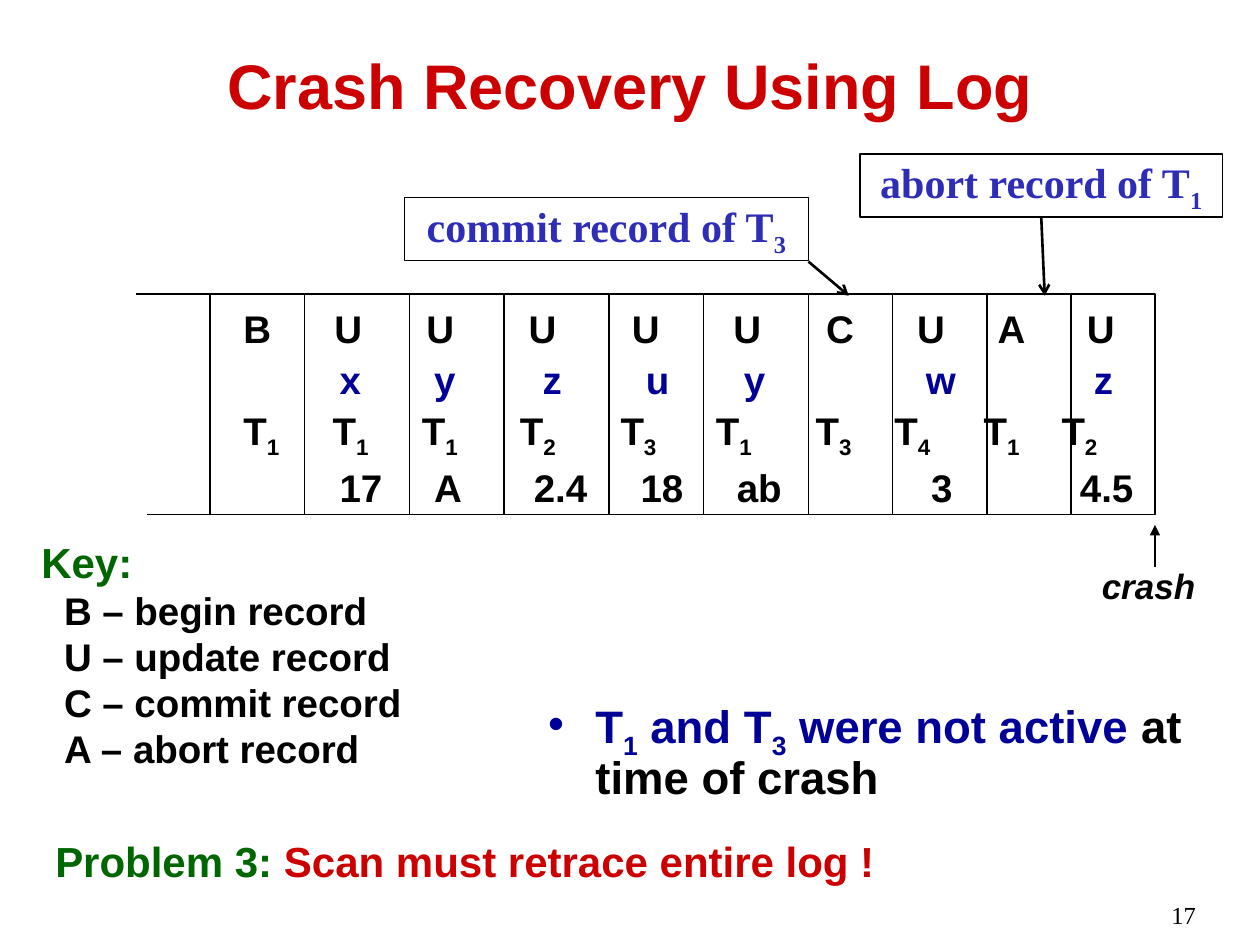
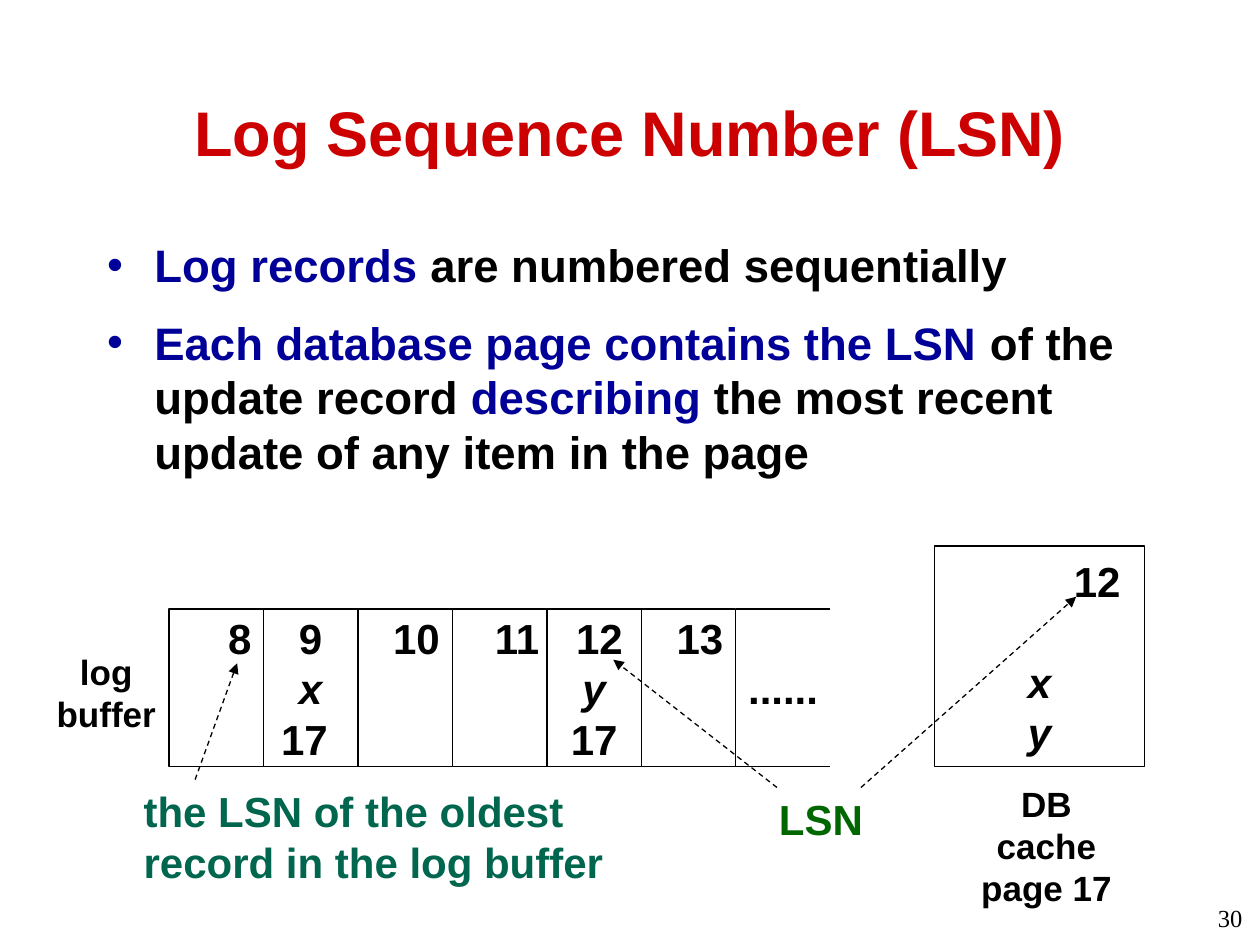
from dataclasses import dataclass, replace
from itertools import accumulate
from typing import NamedTuple

from lxml.etree import SubElement
from pptx import Presentation
from pptx.dml.color import RGBColor
from pptx.enum.dml import MSO_LINE
from pptx.enum.shapes import MSO_CONNECTOR, MSO_SHAPE
from pptx.enum.text import MSO_ANCHOR, MSO_AUTO_SIZE, PP_ALIGN
from pptx.oxml.ns import qn
from pptx.util import Pt

BLACK, WHITE = "000000", "FFFFFF"
RED, NAVY, GREEN, TEAL, VIOLET = "CC0000", "000099", "006600", "00664D", "2D2DB7"


@dataclass(frozen=True)
class Style:
    size: float
    color: str = BLACK
    font: str = "Arial"
    bold: bool = True
    italic: bool = False


class Span(NamedTuple):
    """Text in one style; the character after each "_" is a subscript."""
    text: str
    style: Style


class Box(NamedTuple):
    left: float
    top: float
    width: float
    height: float

    def emu(self) -> list:
        return [Pt(v) for v in self]


class Line(NamedTuple):
    x1: float
    y1: float
    x2: float
    y2: float
    weight: float = 0.75
    head: str = ""
    dashed: bool = False


class Entry(NamedTuple):
    """A centred line of a cell, moved sideways and set below a gap."""
    text: str
    shift: float = 0
    italic: bool = False
    gap: float = 0


class LogRow(NamedTuple):
    """Words of one line of the log, and the tab stop of each."""
    color: str
    words: list
    tabs: list


TITLE = Style(36, RED)
BODY = Style(26)
BODY_KEY = Style(26, NAVY)
LABEL = Style(24)
SMALL = Style(20)
LOG = Style(22)
CALLOUT = Style(24, VIOLET, "Times New Roman")
NUMBER = Style(14, BLACK, "Times New Roman", False)


def rgb(color: str) -> RGBColor:
    return RGBColor.from_string(color)


def add_run(p, text: str, style: Style, subscript: bool = False) -> None:
    r = p.add_run()
    r.text = text
    f = r.font
    f.size, f.name, f.bold, f.italic = Pt(style.size), style.font, style.bold, style.italic
    f.color.rgb = rgb(style.color)
    if subscript:
        r._r.get_or_add_rPr().set("baseline", "-25000")


def add_span(p, span: Span) -> None:
    first, *rest = span.text.split("_")
    if first:
        add_run(p, first, span.style)
    for part in rest:
        add_run(p, part[0], span.style, True)
        if part[1:]:
            add_run(p, part[1:], span.style)


def fill_frame(tf, paragraphs: list, align=None, wrap: bool = True) -> None:
    tf.word_wrap = wrap
    tf.auto_size = MSO_AUTO_SIZE.NONE
    for i, spans in enumerate(paragraphs):
        p = tf.add_paragraph() if i else tf.paragraphs[0]
        if align is not None:
            p.alignment = align
        for span in spans:
            add_span(p, span)


def add_text(s, box: Box, *paragraphs: list, align=PP_ALIGN.LEFT, wrap: bool = True):
    tf = s.shapes.add_textbox(*box.emu()).text_frame
    fill_frame(tf, paragraphs, align, wrap)
    return tf


def add_rect(s, box: Box, fill: str = WHITE):
    sp = s.shapes.add_shape(MSO_SHAPE.RECTANGLE, *box.emu())
    sp.shadow.inherit = False
    if fill:
        sp.fill.solid()
        sp.fill.fore_color.rgb = rgb(fill)
    else:
        sp.fill.background()
    sp.line.color.rgb = rgb(BLACK)
    sp.line.width = Pt(0.75)
    return sp


def add_line(s, line: Line):
    cn = s.shapes.add_connector(MSO_CONNECTOR.STRAIGHT, *[Pt(v) for v in line[:4]])
    cn.line.color.rgb = rgb(BLACK)
    cn.line.width = Pt(line.weight)
    if line.dashed:
        cn.line.dash_style = MSO_LINE.DASH
    if line.head:
        SubElement(cn.line._get_or_add_ln(), qn("a:tailEnd"), type=line.head)
    SubElement(cn._element.spPr, qn("a:effectLst"))
    return cn


def add_cell(s, box: Box, entries: list, top: float) -> None:
    tf = add_rect(s, box).text_frame
    tf.margin_left = tf.margin_right = tf.margin_bottom = 0
    tf.margin_top = Pt(top)
    tf.vertical_anchor = MSO_ANCHOR.TOP
    fill_frame(tf, [[Span(e.text, replace(LABEL, italic=e.italic))] for e in entries],
               PP_ALIGN.CENTER)
    for p, e in zip(tf.paragraphs, entries):
        if e.shift:
            side = "marL" if e.shift > 0 else "marR"
            p._p.get_or_add_pPr().set(side, str(Pt(2 * abs(e.shift))))
        if e.gap:
            p.space_before = Pt(e.gap)


def place(sp, box: Box) -> None:
    sp.left, sp.top, sp.width, sp.height = box.emu()


def start_slide(prs, title: str, title_box: Box, bullets: list, body_box: Box,
                number: str, number_box: Box):
    """Add a slide with its title, bullet list and page number."""
    s = prs.slides.add_slide(prs.slide_layouts[1])
    place(s.shapes.title, title_box)
    tf = s.shapes.title.text_frame
    tf.vertical_anchor = MSO_ANCHOR.MIDDLE
    fill_frame(tf, [[Span(title, TITLE)]], PP_ALIGN.CENTER)
    body = s.placeholders[1]
    place(body, body_box)
    fill_frame(body.text_frame, bullets)
    for i, p in enumerate(body.text_frame.paragraphs):
        p.space_before = Pt(13 if i else 0)
    add_text(s, number_box, [Span(number, NUMBER)], align=PP_ALIGN.RIGHT)
    return s, body.text_frame


def add_log_text(s, box: Box, rows: list) -> None:
    tf = add_text(s, box, *[[Span("\t".join(row.words), replace(LOG, color=row.color))]
                            for row in rows])
    for p, row in zip(tf.paragraphs, rows):
        stops = SubElement(p._p.get_or_add_pPr(), qn("a:tabLst"))
        for x in row.tabs:
            SubElement(stops, qn("a:tab"), pos=str(Pt(x)), algn="l")
        p.line_spacing = 1.1


def build_crash_recovery(prs) -> None:
    s, body = start_slide(
        prs, "Crash Recovery Using Log", Box(54, 12, 612, 72),
        [[Span("T_1 and T_3 were not active", BODY_KEY), Span(" at time of crash", BODY)]],
        Box(306, 396, 408, 66), "17", Box(540.5, 510.5, 150, 18))
    body.paragraphs[0].line_spacing = 0.9

    top, bottom = 168, 294
    edges = list(accumulate([54, 60, 54, 60, 54, 60, 48, 54, 48, 48], initial=120))
    add_rect(s, Box(edges[0], top, edges[-1] - edges[0], bottom - top))
    add_log_text(s, Box(132, top, 552, 123), [
        LogRow(BLACK, list("BUUUUUCUAU"), [52, 104.5, 163, 222, 280, 333, 385, 431, 482]),
        LogRow(NAVY, ["", *"xyzuywz"], [55, 109, 171, 230, 286, 390, 486]),
        LogRow(BLACK, [f"T_{n}" for n in "1112313412"],
               [51, 102, 158, 215.5, 270, 327, 372, 423, 467.5]),
        LogRow(BLACK, ["", "17", "A", "2.4", "18", "ab", "3", "4.5"],
               [55, 109, 166, 227, 282, 393, 478]),
    ])
    for x in edges[1:-1]:
        add_line(s, Line(x, top, x, bottom))
    add_line(s, Line(126, top, 78, top))
    add_line(s, Line(126, bottom, 84, bottom))

    kinds = ["B – begin record", "U – update record", "C – commit record", "A – abort record"]
    key = add_text(s, Box(16.5, 303, 220, 144), [Span("Key:", replace(LABEL, color=GREEN))],
                   *[[Span(kind, LOG)] for kind in kinds], wrap=False)
    for p in key.paragraphs[1:]:
        p._p.get_or_add_pPr().set("marL", str(Pt(13)))

    add_text(s, Box(622.5, 319, 68, 31), [Span("crash", replace(SMALL, italic=True))], wrap=False)
    add_line(s, Line(edges[-1], 324, edges[-1], 300, head="triangle"))

    callouts = [
        ("commit record of T_3", Box(231, 113, 231, 36), Line(462, 149.5, 485, 169, 1.5, "arrow")),
        ("abort record of T_1", Box(491.5, 88, 207, 36), Line(595, 124, 597, 169, 1.5, "arrow")),
    ]
    for text, box, arrow in callouts:
        sp = add_rect(s, box, fill="")
        fill_frame(sp.text_frame, [[Span(text, CALLOUT)]], PP_ALIGN.CENTER)
        cn = add_line(s, arrow)
        if arrow.x1 == box.left + box.width / 2:
            cn.begin_connect(sp, 2)

    add_text(s, Box(24.5, 474, 646, 36), [Span("Problem 3: ", replace(LABEL, color=GREEN)),
             Span("Scan must retrace entire log !", replace(LABEL, color=RED))])


def build_lsn(prs) -> None:
    s, _ = start_slide(
        prs, "Log Sequence Number (LSN)", Box(54, 30, 612, 90),
        [[Span("Log records", BODY_KEY), Span(" are numbered sequentially", BODY)],
         [Span("Each database page contains the LSN", BODY_KEY),
          Span(" of the update record ", BODY), Span("describing", BODY_KEY),
          Span(" the most recent update of any item in the page", BODY)]],
        Box(54, 132, 612, 198), "30", Box(567, 512.5, 150, 23))

    add_cell(s, Box(534, 312, 120, 126),
             [Entry("12", 33), Entry("x", italic=True, gap=28.8), Entry("y", italic=True)], 5.5)
    add_text(s, Box(548, 443.5, 100, 84), [Span("DB cache", SMALL)], [Span("page 17", SMALL)],
             align=PP_ALIGN.CENTER)
    add_text(s, Box(25, 368, 71.5, 55.5), [Span("log", SMALL)], [Span("buffer", SMALL)],
             align=PP_ALIGN.CENTER, wrap=False)

    left, top, width, height = 96.5, 348, 54, 90
    records = [
        [Entry("8", 13.5)],
        [Entry("9"), Entry("x", italic=True), Entry("17", -3.5)],
        [Entry("10", 6.5)],
        [Entry("11", 10)],
        [Entry("12", 3), Entry("y", italic=True), Entry("17")],
        [Entry("13", 6.5)],
    ]
    for i, entries in enumerate(records):
        add_cell(s, Box(left + i * width, top, width, height), entries, 2)
    end = left + len(records) * width
    dots = add_text(s, Box(end, top, width, height), [Span("......", LABEL)],
                    align=PP_ALIGN.CENTER, wrap=False)
    dots.vertical_anchor = MSO_ANCHOR.MIDDLE
    for y in (top, top + height):
        add_line(s, Line(end, y, end + width, y))

    add_text(s, Box(438, 450, 62.5, 36), [Span("LSN", replace(LABEL, color=GREEN))], wrap=False)
    add_text(s, Box(75, 445.5, 285, 65.5),
             [Span("the LSN of the oldest record in the log buffer", replace(LABEL, color=TEAL))])
    for ends in ((492, 450, 615, 341), (444, 450, 350.5, 377), (111.5, 445.5, 135.5, 379)):
        add_line(s, Line(*ends, head="triangle", dashed=True))


def main() -> None:
    prs = Presentation()
    prs.slide_width, prs.slide_height = Pt(720), Pt(540)
    build_crash_recovery(prs)
    build_lsn(prs)
    prs.save("out.pptx")


if __name__ == "__main__":
    main()
